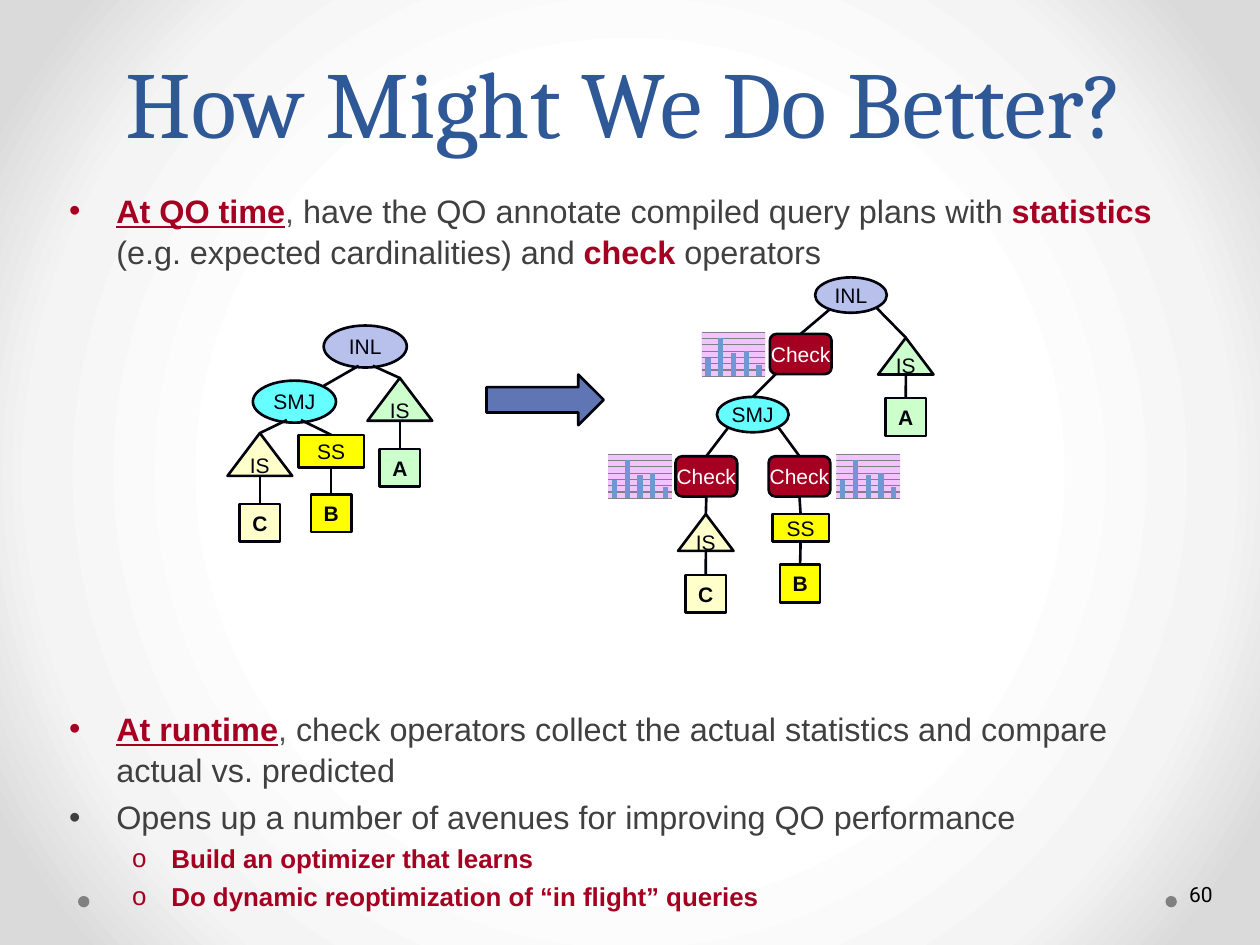
import pptx
import pptx.chart.data
import pptx.dml.color
import pptx.enum.chart
import pptx.enum.shapes
import pptx.enum.text
import pptx.oxml
import pptx.oxml.ns
import pptx.util

Pt = pptx.util.Pt
SHAPE = pptx.enum.shapes.MSO_SHAPE
ALIGN = pptx.enum.text.PP_ALIGN
ANCHOR = pptx.enum.text.MSO_ANCHOR
INK, RED, GRAY, LIGHT_GRAY = "01020B", "A50021", "404040", "595959"
GREEN, CREAM, YELLOW, CYAN, LILAC = "CCFFCC", "FFFFCC", "FFFF00", "66FFFF", "B8C1EC"


def color(value):
    return pptx.dml.color.RGBColor.from_string(value)


def xml(prefix, tag, body=""):
    return pptx.oxml.parse_xml(f"<{tag} {pptx.oxml.ns.nsdecls(*prefix.split())}{body}")


def set_font(font, size, value, name="Arial", bold=False, underline=False):
    font.name, font.size, font.bold, font.underline = name, Pt(size), bold, underline
    font.color.rgb = color(value)


def draw(slide, kind, box, fill, line=INK):
    shape = slide.shapes.add_shape(kind, *map(Pt, box))
    shape.shadow.inherit = False
    shape.fill.solid()
    shape.fill.fore_color.rgb = color(fill)
    if line:
        shape.line.color.rgb = color(line)
        shape.line.width = Pt(1.5)
    else:
        shape.line.fill.background()
    return shape


def label(shape, text, value, bold):
    frame = shape.text_frame
    frame.margin_left = frame.margin_right = frame.margin_top = frame.margin_bottom = 0
    frame.word_wrap = False
    frame.vertical_anchor = ANCHOR.MIDDLE
    frame.text = text
    frame.paragraphs[0].alignment = ALIGN.CENTER
    set_font(frame.paragraphs[0].runs[0].font, 12, value, bold=bold)


def add_edge(slide, left, top, nodes, start, end):
    def place(spot, side):
        if isinstance(spot, tuple):
            return Pt(left + spot[0]), Pt(top + spot[1])
        node = nodes[spot]
        return node.left + node.width // 2, node.top + (node.height if side == 2 else 0)

    edge = slide.shapes.add_connector(
        pptx.enum.shapes.MSO_CONNECTOR.STRAIGHT, *place(start, 2), *place(end, 0))
    edge.line.color.rgb = color(INK)
    edge.line.width = Pt(1.5)
    edge.element.spPr.append(xml("a", "a:effectLst", "/>"))
    if start in nodes and nodes[start].auto_shape_type != SHAPE.ISOSCELES_TRIANGLE:
        edge.begin_connect(nodes[start], 2)
    if end in nodes:
        edge.end_connect(nodes[end], 0)


def add_plan(slide, left, top, sizes, operators, edges):
    nodes = {}
    for key, text, style, fill, x, y in operators:
        kind = {"join": SHAPE.OVAL, "index": SHAPE.ISOSCELES_TRIANGLE,
                "check": SHAPE.ROUNDED_RECTANGLE}.get(style, SHAPE.RECTANGLE)
        nodes[key] = draw(slide, kind, (left + x, top + y, *sizes[style]), fill)
        label(nodes[key], text, "FFFFFF" if style == "check" else INK, style == "table")
    for start, end in edges:
        add_edge(slide, left, top, nodes, start, end)


def add_histogram(slide, left, top, width, height):
    data = pptx.chart.data.CategoryChartData()
    data.categories = ["1", "2", "3", "4", "5"]
    data.add_series("Series 1", (47, 100, 60, 67, 30))
    chart = slide.shapes.add_chart(
        pptx.enum.chart.XL_CHART_TYPE.COLUMN_CLUSTERED,
        *map(Pt, (left, top, width, height)), data).chart
    chart.has_legend = chart.has_title = False
    set_font(chart.font, 10, "000000")
    plot = chart.plots[0]
    plot.vary_by_categories = False
    plot.gap_width = 150
    bars = plot.series[0].format.fill
    bars.solid()
    bars.fore_color.rgb = color("7097D3")
    chart.category_axis.visible = False
    values = chart.value_axis
    values.visible = False
    values.minimum_scale, values.maximum_scale, values.major_unit = 0, 115.5, 16.5
    values.has_major_gridlines = True
    values.major_gridlines.format.line.color.rgb = color("808080")
    values.major_gridlines.format.line.width = Pt(0.75)
    area = chart.element.find(".//" + pptx.oxml.ns.qn("c:plotArea"))
    for old in area.findall(pptx.oxml.ns.qn("c:layout")):
        area.remove(old)
    bounds = "".join(f'<c:{tag} val="{value}"/>' for tag, value in (
        ("layoutTarget", "inner"), ("xMode", "edge"), ("yMode", "edge"),
        ("x", 0.05), ("y", 0), ("w", 0.89), ("h", 1)))
    area.insert(0, xml("c", "c:layout", f"><c:manualLayout>{bounds}</c:manualLayout></c:layout>"))
    area.append(xml("c a", "c:spPr",
                    '><a:solidFill><a:srgbClr val="F1C4FF"/></a:solidFill></c:spPr>'))


def add_text(slide, left, top, width, height):
    frame = slide.shapes.add_textbox(*map(Pt, (left, top, width, height))).text_frame
    frame.word_wrap = True
    return frame


def add_bullets(slide, left, top, width, height, items):
    frame = add_text(slide, left, top, width, height)
    for number, (level, runs) in enumerate(items):
        paragraph = frame.paragraphs[0] if number == 0 else frame.add_paragraph()
        size, margin, hang, mark = ((18.5, 27, 27, "•"), (14.8, 58.5, 22.5, "o"))[level]
        paragraph.level = level
        paragraph.line_spacing = 1.05
        paragraph.space_before = Pt(size * 0.2 if number else 0)
        properties = paragraph._p.get_or_add_pPr()
        properties.set("marL", str(Pt(margin)))
        properties.set("indent", str(-Pt(hang)))
        properties.append(xml("a", "a:buFont", ' typeface="Arial"/>'))
        properties.append(xml("a", "a:buChar", f' char="{mark}"/>'))
        for text, value, bold, underline in runs:
            run = paragraph.add_run()
            run.text = text
            set_font(run.font, size, value, bold=bold, underline=underline)


def add_title(slide, left, top, width, height):
    frame = add_text(slide, left, top, width, height)
    frame.vertical_anchor = ANCHOR.BOTTOM
    frame.text = "How Might We Do Better?"
    title = frame.paragraphs[0]
    title.alignment = ALIGN.CENTER
    title.line_spacing = Pt(58)
    set_font(title.runs[0].font, 54, "2F5897", "Cambria")


def add_backdrop(slide):
    stops = "".join(f'<a:gs pos="{place}000"><a:srgbClr val="{value}"/></a:gs>'
                    for place, value in ((50, "FFFFFF"), (76, "F4F4F4"), (92, "DADADA")))
    slide.element.cSld.insert(0, xml("p a", "p:bg", (
        f'><p:bgPr><a:gradFill rotWithShape="1"><a:gsLst>{stops}</a:gsLst><a:path path="circle">'
        '<a:fillToRect l="50000" t="50000" r="50000" b="50000"/></a:path></a:gradFill>'
        '<a:effectLst/></p:bgPr></p:bg>')))
    for left in (44.6, 666):
        draw(slide, SHAPE.OVAL, (left, 512, 6.5, 6.5), "808080", None)


def add_compiled_plan(slide, left, top):
    sizes = {"join": (47.5, 24), "index": (37, 24.5), "scan": (37.5, 18.7), "table": (23, 21.6)}
    add_plan(slide, left, top, sizes, [
        ("inl", "INL", "join", LILAC, 55, 0), ("smj", "SMJ", "join", CYAN, 14.5, 31.5),
        ("is_a", "IS", "index", GREEN, 80, 30), ("a", "A", "table", GREEN, 87, 70.5),
        ("is_c", "IS", "index", CREAM, 0, 61.5), ("c", "C", "table", CREAM, 7, 102),
        ("ss", "SS", "scan", YELLOW, 40.5, 62.5), ("b", "B", "table", YELLOW, 47.75, 96.5),
    ], [((83, 23), "is_a"), ((75, 23), (55, 34.5)), ((34, 54), "is_c"), ((42, 54), "ss"),
        ("is_a", "a"), ("is_c", "c"), ("ss", "b")])


def add_annotated_plan(slide, left, top):
    sizes = {"join": (41, 20.2), "index": (31.7, 21), "scan": (32.4, 15.8),
             "table": (23, 21.6), "check": (35.3, 23)}
    for x, y in ((53.4, 31), (0, 100.7), (130.4, 100.7)):
        add_histogram(slide, left + x, top + y, 41, 26)
    add_plan(slide, left, top, sizes, [
        ("inl", "INL", "join", LILAC, 120.3, 0), ("smj", "SMJ", "join", CYAN, 64.2, 68.3),
        ("check", "Check", "check", RED, 94.4, 32.3),
        ("check_c", "Check", "check", RED, 40.5, 102.2),
        ("check_b", "Check", "check", RED, 93.7, 102.2),
        ("is_a", "IS", "index", GREEN, 156.3, 34.5), ("a", "A", "table", GREEN, 160.6, 69),
        ("is_c", "IS", "index", CREAM, 42, 135.3), ("c", "C", "table", CREAM, 46.3, 170),
        ("ss", "SS", "scan", YELLOW, 95.8, 135.3), ("b", "B", "table", YELLOW, 100.2, 164.2),
    ], [((129, 18), "check"), ((155, 17), "is_a"), ((98, 55), "smj"),
        ((70.5, 86), "check_c"), ((99.5, 86), "check_b"), ("check_c", "is_c"),
        ("check_b", "ss"), ("is_a", "a"), ("is_c", "c"), ("ss", "b")])


def main():
    deck = pptx.Presentation()
    deck.slide_width, deck.slide_height = Pt(720), Pt(540)
    slide = deck.slides.add_slide(deck.slide_layouts[6])
    add_backdrop(slide)
    add_title(slide, 33, 21.6, 648, 72)
    add_bullets(slide, 32.4, 104.7, 648, 54, [
        (0, [("At QO time", RED, True, True), (", ", LIGHT_GRAY, False, False),
             ("have the QO annotate compiled query plans with ", GRAY, False, False),
             ("statistics ", RED, True, False),
             ("(e.g. expected cardinalities) and ", GRAY, False, False),
             ("check ", RED, True, False), ("operators", GRAY, False, False)])])
    add_bullets(slide, 32.4, 400.7, 648, 122, [
        (0, [("At runtime", RED, True, True), (", ", LIGHT_GRAY, False, False),
             ("check operators collect the actual statistics and compare actual vs. predicted",
              GRAY, False, False)]),
        (0, [("Opens up a number of avenues for improving QO performance", GRAY, False, False)]),
        (1, [("Build an optimizer that learns", RED, True, False)]),
        (1, [("Do dynamic reoptimization of “in flight” queries", RED, True, False)])])
    add_compiled_plan(slide, 130, 186)
    add_annotated_plan(slide, 345.5, 158.5)
    draw(slide, SHAPE.RIGHT_ARROW, (278, 214, 67, 29), "6076B4")
    page_number = add_text(slide, 672.5, 500.4, 44, 29)
    page_number.text = "60"
    set_font(page_number.paragraphs[0].runs[0].font, 12, "000000", "Roboto")
    deck.save("out.pptx")


if __name__ == "__main__":
    main()
